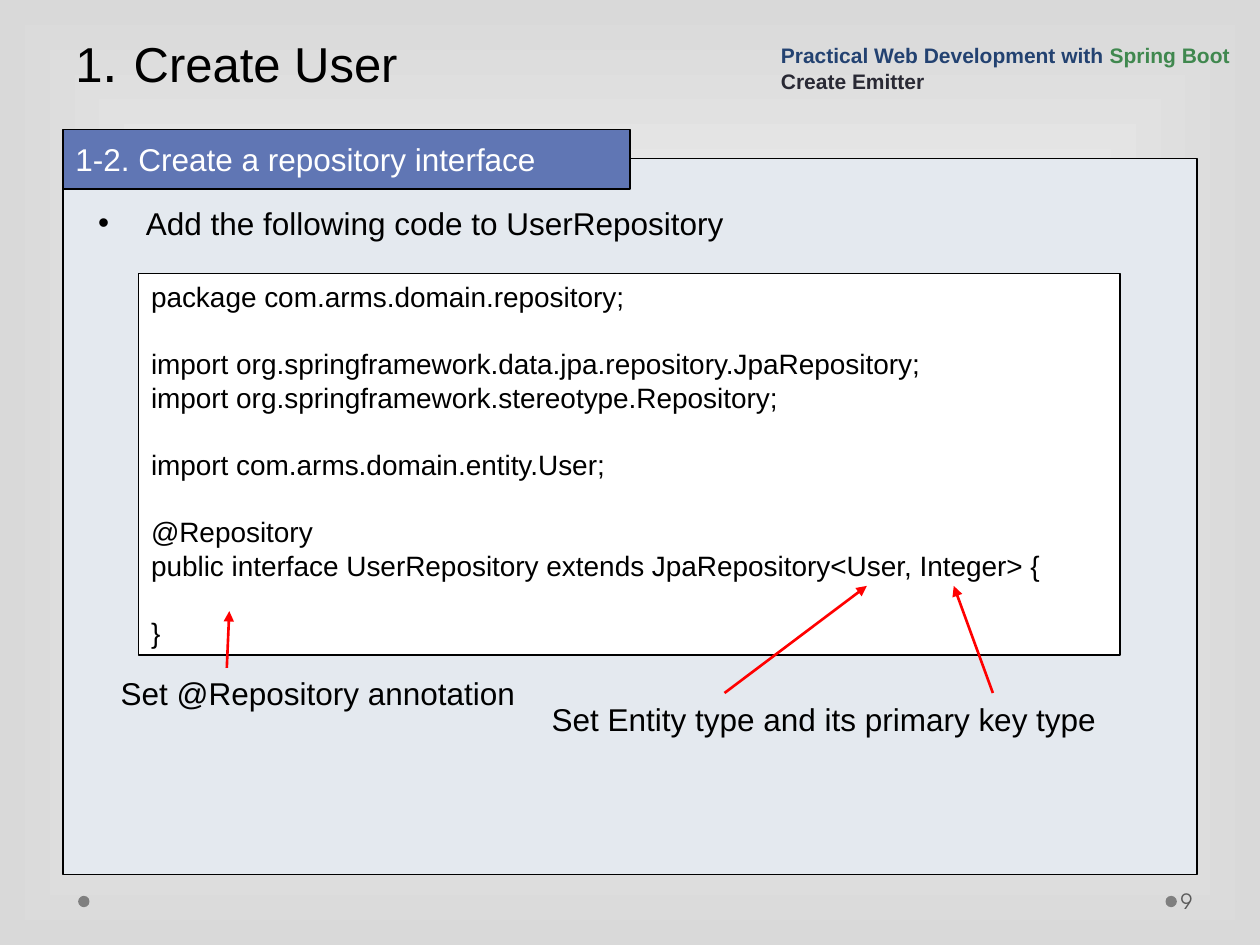
import pptx
import pptx.dml.color
import pptx.enum.shapes
import pptx.enum.text
import pptx.oxml.ns
import pptx.util
from lxml import etree

Inches, Pt = pptx.util.Inches, pptx.util.Pt
Anchor = pptx.enum.text.MSO_ANCHOR
Shape = pptx.enum.shapes.MSO_SHAPE
qn = pptx.oxml.ns.qn


def rgb(value):
    return pptx.dml.color.RGBColor.from_string(value)


class SlideBuilder:
    font = "Arial"
    ink = "000000"
    arrow_color = "FF0000"

    def __init__(self, slide):
        self.slide = slide

    def background(self, center, edge):
        """Fill the slide with a gradient that runs from its center to its edges."""
        fill = self.slide.background.fill
        fill.gradient()
        for stop, color in zip(fill.gradient_stops, (center, edge)):
            stop.color.rgb = rgb(color)
        linear = next(self.slide.element.iter(qn("a:lin")))
        rectangular = etree.Element(qn("a:path"), {"path": "rect"})
        etree.SubElement(rectangular, qn("a:fillToRect"),
                         {side: "50000" for side in "ltrb"})
        linear.getparent().replace(linear, rectangular)

    def panel(self, left, top, width, height, fill, outline=True, kind=Shape.RECTANGLE):
        panel = self.slide.shapes.add_shape(
            kind, Inches(left), Inches(top), Inches(width), Inches(height))
        panel.shadow.inherit = False
        panel.fill.solid()
        panel.fill.fore_color.rgb = rgb(fill)
        if outline:
            panel.line.color.rgb = rgb(self.ink)
            panel.line.width = Pt(0.75)
        else:
            panel.line.fill.background()
        return panel

    def label(self, left, top, width, height, *lines, **style):
        box = self.slide.shapes.add_textbox(
            Inches(left), Inches(top), Inches(width), Inches(height))
        self.set_text(box.text_frame, lines, **style)
        return box.text_frame

    def set_text(self, frame, lines, size=18, color=None, anchor=Anchor.TOP,
                 font=None, bold=False, spacing=None, bullet_indent=None):
        frame.word_wrap = True
        frame.vertical_anchor = anchor
        for index, line in enumerate(lines):
            paragraph = frame.add_paragraph() if index else frame.paragraphs[0]
            paragraph.text = line
            paragraph.alignment = pptx.enum.text.PP_ALIGN.LEFT
            if spacing:
                paragraph.line_spacing = Pt(spacing)
            if bullet_indent:
                self.add_bullet(paragraph, bullet_indent)
            paragraph.font.name = font or self.font
            paragraph.font.size = Pt(size)
            paragraph.font.bold = bold
            paragraph.font.color.rgb = rgb(color or self.ink)

    def add_bullet(self, paragraph, indent):
        properties = paragraph._p.get_or_add_pPr()
        properties.set("marL", str(Inches(indent)))
        properties.set("indent", str(-Inches(indent)))
        etree.SubElement(properties, qn("a:buFont"), typeface=self.font)
        etree.SubElement(properties, qn("a:buChar"), char="•")

    def arrow(self, start, end):
        arrow = self.slide.shapes.add_connector(
            pptx.enum.shapes.MSO_CONNECTOR.STRAIGHT,
            *(Inches(length) for length in (*start, *end)))
        arrow.line.color.rgb = rgb(self.arrow_color)
        arrow.line.width = Pt(1.5)
        outline = arrow._element.spPr.find(qn("a:ln"))
        etree.SubElement(outline, qn("a:tailEnd"), type="triangle")
        etree.SubElement(arrow._element.spPr, qn("a:effectLst"))


def main():
    deck = pptx.Presentation()
    deck.slide_width, deck.slide_height = Inches(10), Inches(7.5)
    page = SlideBuilder(deck.slides.add_slide(deck.slide_layouts[6]))
    page.background("FFFFFF", "D9D9D9")

    for dot_left in (9.25, 0.62):
        page.panel(dot_left, 7.11, 0.09, 0.09, "7F7F7F", outline=False, kind=Shape.OVAL)
    page_number = page.label(9.34, 6.95, 0.61, 0.4, "9", size=12, color="595959",
                             font="TeX Gyre Adventor", anchor=Anchor.MIDDLE)
    page_number.margin_left = Inches(0.03)

    page.panel(0.5, 1.26, 9, 5.68, "E4E9EF")

    title = page.label(0.5, 0, 9, 0.79, "1", size=28, anchor=Anchor.BOTTOM, spacing=58)
    separator = title.paragraphs[0].add_run()
    separator.text = ". "
    separator.font.size = Pt(32)
    title.paragraphs[0].add_run().text = "Create User"

    section = page.panel(0.5, 1.03, 4.5, 0.47, "6076B4")
    page.set_text(section.text_frame, ["1-2. Create a repository interface"],
                  color="FFFFFF", anchor=Anchor.MIDDLE)

    page.label(0.68, 1.57, 7.74, 0.4, "Add the following code to UserRepository",
               bullet_indent=0.38)

    course = page.label(6.1, 0.24, 3.9, 0.55, "Practical Web Development with ",
                        "Create Emitter", size=12, color="234271", bold=True,
                        anchor=Anchor.BOTTOM, spacing=14.4)
    framework = course.paragraphs[0].add_run()
    framework.text = "Spring Boot"
    framework.font.color.rgb = rgb("40884F")
    course.paragraphs[1].font.color.rgb = rgb("292934")

    page.label(4.28, 5.51, 4.61, 0.4, "Set Entity type and its primary key type")

    code_blocks = [
        ["package com.arms.domain.repository;"],
        ["import org.springframework.data.jpa.repository.JpaRepository;",
         "import org.springframework.stereotype.Repository;"],
        ["import com.arms.domain.entity.User;"],
        ["@Repository",
         "public interface UserRepository extends JpaRepository<User, Integer> {"],
        ["}"],
    ]
    code_pitch = 19.2
    code = page.panel(1.1, 2.17, 7.79, 3.03, "FFFFFF").text_frame
    page.set_text(code, sum(code_blocks, []), size=16, spacing=code_pitch)
    block_start = 0
    for block in code_blocks[:-1]:
        block_start += len(block)
        code.paragraphs[block_start].space_before = Pt(code_pitch)

    page.arrow((5.75, 5.5), (6.88, 4.65))
    page.arrow((7.88, 5.5), (7.57, 4.65))
    page.label(0.86, 5.3, 3.42, 0.4, "Set @Repository annotation")
    page.arrow((1.8, 5.3), (1.82, 4.85))

    deck.save("out.pptx")


if __name__ == "__main__":
    main()
